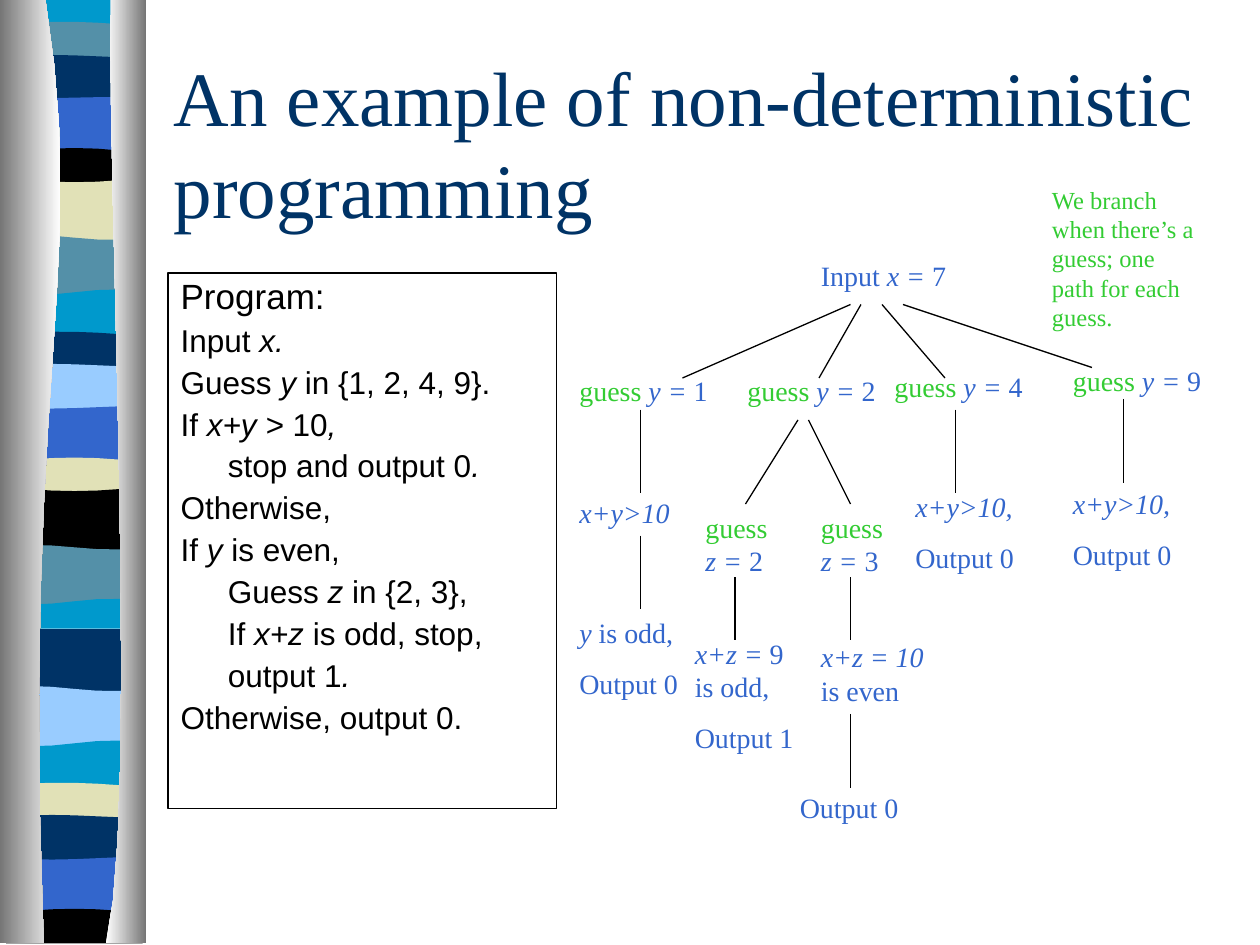
"""Build a slide that shows a non-deterministic program and its branching tree."""
from lxml.etree import SubElement
from pptx import Presentation
from pptx.dml.color import RGBColor
from pptx.enum.shapes import MSO_CONNECTOR
from pptx.enum.text import MSO_ANCHOR, MSO_AUTO_SIZE, PP_ALIGN
from pptx.oxml.ns import qn
from pptx.util import Pt

NAVY, BLUE, GREEN, BLACK = "003366", "3366CC", "33CC33", "000000"
CYAN, TEAL, CREAM, SKY = "0099CC", "5490A8", "E1E1B7", "99CCFF"
SERIF, SANS = "Times New Roman", "Arial"


def add_outline(shapes, curve, steps, corners):
    """Add a borderless shape from a cubic curve, given by control points, and two corners."""
    points = []
    for step in range(steps + 1):
        t = step / steps
        weights = ((1 - t) ** 3, 3 * t * (1 - t) ** 2, 3 * t * t * (1 - t), t ** 3)
        points.append([sum(weight * point[axis] for weight, point in zip(weights, curve))
                       for axis in (0, 1)])
    points = [(Pt(x), Pt(y)) for x, y in points + corners]
    builder = shapes.build_freeform(*points[0], scale=1.0)
    builder.add_line_segments(points[1:], close=True)
    shape = builder.convert_to_shape()
    shape.shadow.inherit = False
    shape.line.fill.background()
    return shape


def add_runs(paragraph, runs, font_name, size):
    """Add (text, colour, italic) runs to a paragraph."""
    paragraph.alignment = PP_ALIGN.LEFT
    for text, colour, italic in runs:
        run = paragraph.add_run()
        run.text = text
        run.font.name = font_name
        run.font.size = Pt(size)
        run.font.italic = italic
        run.font.color.rgb = RGBColor.from_string(colour)


presentation = Presentation()
presentation.slide_width = Pt(720)
presentation.slide_height = Pt(540)
slide = presentation.slides.add_slide(presentation.slide_layouts[1])
shapes = slide.shapes

ribbon_bands = [
    (CYAN, (0, 0, 0, 0)),
    (TEAL, (13.7, 11.5, 12.2, 15.1)),
    (NAVY, (33, 29.5, 33, 33)),
    (BLUE, (56, 57, 54.5, 56)),
    (BLACK, (87.8, 83.5, 83.5, 87.8)),
    (CREAM, (101.5, 105, 105, 101.5)),
    (TEAL, (135.4, 131, 141, 135.4)),
    (CYAN, (167, 172.8, 161.3, 167)),
    (NAVY, (190.8, 188.6, 189.4, 192.2)),
    (SKY, (209.5, 206, 209.5, 209.5)),
    (BLUE, (232, 235.4, 232, 232)),
    (CREAM, (264.2, 260.6, 260.6, 264.2)),
    (BLACK, (278, 281.5, 281.5, 278)),
    (TEAL, (312.5, 308.2, 317.5, 312.5)),
    (CYAN, (344.2, 349.2, 337.7, 344.2)),
    (NAVY, (359.3, 359.3, 359.3, 359.3)),
    (SKY, (393.1, 388.8, 398.9, 393.1)),
    (CYAN, (424.8, 430.6, 419, 424.8)),
    (CREAM, (448.6, 446.4, 447.1, 450)),
    (NAVY, (467.3, 463.7, 467.3, 467.3)),
    (BLUE, (489.6, 493.2, 489.6, 489.6)),
    (BLACK, (522, 518.4, 518.4, 522)),
]
ribbon_x = (3.5, 29.5, 55.5, 81.5)
bottoms = [max(heights) for _, heights in ribbon_bands[1:]] + [539]
for (colour, heights), bottom in zip(ribbon_bands, bottoms):
    steps = 1 if len(set(heights)) == 1 else 6
    band = add_outline(shapes, list(zip(ribbon_x, heights)), steps,
                       [(ribbon_x[-1], bottom), (ribbon_x[0], bottom)])
    band.fill.solid()
    band.fill.fore_color.rgb = RGBColor.from_string(colour)

folds = [
    ([(26, 0), (51, 156), (12, 213), (25, 539)], 0, ("767676", "FFFFFF")),
    ([(63.4, 0), (60.5, 90), (80, 465), (60.5, 539)], 83.5, ("FFFFFF", "767676")),
]
for curve, outer_x, colours in folds:
    fold = add_outline(shapes, curve, 12, [(outer_x, 539), (outer_x, 0)])
    fold.fill.gradient()
    fold.fill.gradient_angle = 0
    for stop, colour in zip(fold.fill.gradient_stops, colours):
        stop.color.rgb = RGBColor.from_string(colour)

title = shapes.title
title.left, title.top, title.width, title.height = Pt(92), Pt(36), Pt(612), Pt(90)
title.text_frame.auto_size = MSO_AUTO_SIZE.NONE
title.text_frame.vertical_anchor = MSO_ANCHOR.MIDDLE
add_runs(title.text_frame.paragraphs[0],
         [("An example of non-deterministic programming", NAVY, False)], SERIF, 44)

program = slide.placeholders[1]
program.left, program.top, program.width, program.height = Pt(96), Pt(156), Pt(222), Pt(306)
program.line.color.rgb = RGBColor.from_string(BLACK)
program.line.width = Pt(0.75)
program.text_frame.auto_size = MSO_AUTO_SIZE.NONE
program_lines = [
    (0, [("Program:", False)]),
    (0, [("Input ", False), ("x.", True)]),
    (0, [("Guess ", False), ("y ", True), ("in {1, 2, 4, 9}.", False)]),
    (0, [("If ", False), ("x+y > ", True), ("10", False), (",", True)]),
    (27, [("stop and output 0", False), (".", True)]),
    (0, [("Otherwise,", False)]),
    (0, [("If ", False), ("y", True), (" is even,", False)]),
    (27, [("Guess ", False), ("z", True), (" in {2, 3},", False)]),
    (27, [("If ", False), ("x+z", True), (" is odd, stop,", False)]),
    (27, [("output 1", False), (".", True)]),
    (0, [("Otherwise, output 0.", False)]),
]
for index, (indent, runs) in enumerate(program_lines):
    frame = program.text_frame
    paragraph = frame.add_paragraph() if index else frame.paragraphs[0]
    properties = paragraph._p.get_or_add_pPr()
    properties.set("marL", str(Pt(27)))
    properties.set("indent", str(Pt(indent - 27)))
    SubElement(properties, qn("a:buNone"))
    paragraph.line_spacing = 0.9
    paragraph.space_before = Pt(4.5 if index else 0)
    add_runs(paragraph, [(text, BLACK, italic) for text, italic in runs],
             SANS, 18 if index else 20)

output_zero = [("Output 0", BLUE, False)]
over_ten = [("x+y>10,", BLUE, True)]
labels = [
    (462, 144, 90, 27, 16, [[("Input ", BLUE, False), ("x = ", BLUE, True), ("7", BLUE, False)]]),
    (594, 102, 96, 91, 14,
     [[("We branch when there’s a guess; one path for each guess.", GREEN, False)]]),
    (516, 276, 78, 55, 16, [over_ten, output_zero]),
    (606, 274.5, 78, 55, 16, [over_ten, output_zero]),
    (324, 279.5, 72, 27, 16, [[("x+y>10", BLUE, True)]]),
    (324, 348, 78, 55, 16, [[("y", BLUE, True), (" is odd,", BLUE, False)], output_zero]),
    (390, 360, 78, 75, 16, [[("x+z = ", BLUE, True), ("9 is odd,", BLUE, False)],
                            [("Output 1", BLUE, False)]]),
    (462, 362, 78, 46, 16, [[("x+z = 10", BLUE, True), (" is even", BLUE, False)]]),
    (450, 448, 72, 27, 16, [output_zero]),
]
guesses = [
    (324, 210, 96, 27, "y", "1"), (420, 210, 90, 27, "y", "2"),
    (504, 207.5, 90, 27, "y", "4"), (606, 204, 90, 27, "y", "9"),
    (396, 288, 54, 46, "z", "2"), (462, 288, 54, 46, "z", "3"),
]
for left, top, width, height, variable, value in guesses:
    labels.append((left, top, width, height, 16, [[
        ("guess ", GREEN, False), (f"{variable} = ", BLUE, True), (value, BLUE, False)]]))

for left, top, width, height, size, paragraphs in labels:
    label = shapes.add_textbox(Pt(left), Pt(top), Pt(width), Pt(height))
    frame = label.text_frame
    frame.word_wrap = True
    for index, runs in enumerate(paragraphs):
        paragraph = frame.add_paragraph() if index else frame.paragraphs[0]
        paragraph.space_before = Pt(10 if index else 0)
        add_runs(paragraph, runs, SERIF, size)

branches = [
    (486, 174, 390, 216), (492, 174, 468, 216), (504, 174, 540, 216), (516, 174, 624, 210),
    (366, 234, 366, 282), (546, 234, 546, 282), (642, 228, 642, 276),
    (456, 240, 426, 288), (462, 240, 486, 288), (366, 306, 366, 348),
    (420, 330, 420, 366), (486, 330, 486, 366), (486, 408, 486, 450),
]
for ends in branches:
    branch = shapes.add_connector(MSO_CONNECTOR.STRAIGHT, *(Pt(value) for value in ends))
    branch.line.color.rgb = RGBColor.from_string(BLACK)
    branch.line.width = Pt(0.75)
    SubElement(branch._element.spPr, qn("a:effectLst"))

presentation.save("out.pptx")
